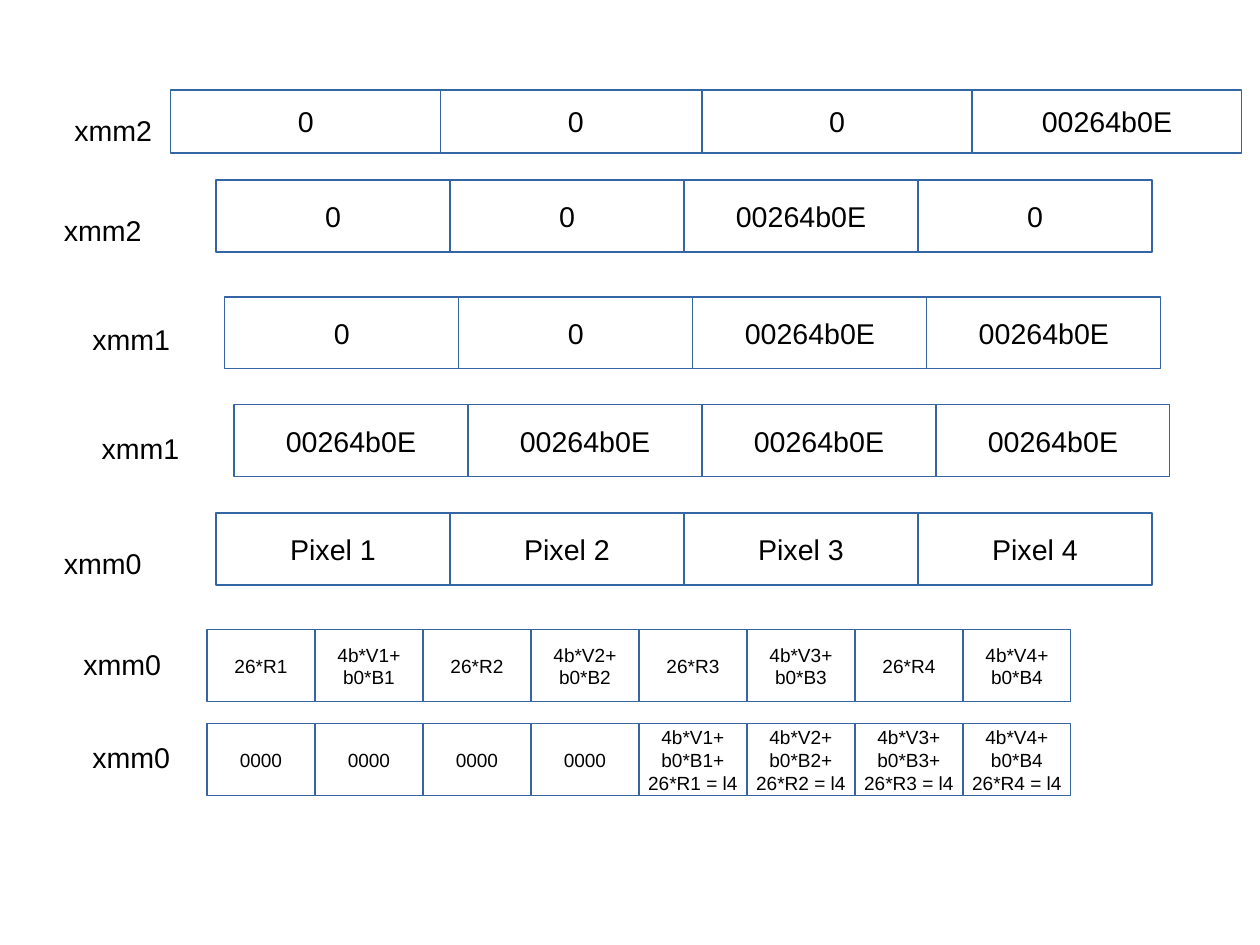
import pptx
import pptx.dml.color
import pptx.enum.shapes
import pptx.enum.text
import pptx.util

Pt = pptx.util.Pt
BLACK = pptx.dml.color.RGBColor(0x00, 0x00, 0x00)
WHITE = pptx.dml.color.RGBColor(0xFF, 0xFF, 0xFF)
BLUE = pptx.dml.color.RGBColor(0x34, 0x65, 0xA4)

VALUE = "00264b0E"
PIXELS = range(1, 5)
HALF_WIDTH = 170.08
QUARTER_WIDTH = 147.4
EIGHTH_WIDTH = 68.03
ROW_HEIGHT = 45.35
TOP_ROW_HEIGHT = 39.7


def write(tf, text, size, align):
    tf.word_wrap = False
    tf.text = text
    for p in tf.paragraphs:
        p.alignment = align
        p.font.name = "Arial"
        p.font.size = Pt(size)
        p.font.color.rgb = BLACK


def add_label(s, left, top, text):
    sp = s.shapes.add_textbox(Pt(left), Pt(top), Pt(63.4), Pt(27.4))
    write(sp.text_frame, text, 18, pptx.enum.text.PP_ALIGN.LEFT)


def add_cells(s, left, top, width, texts, size=18, height=ROW_HEIGHT):
    for i, text in enumerate(texts):
        sp = s.shapes.add_shape(
            pptx.enum.shapes.MSO_SHAPE.RECTANGLE,
            Pt(left + i * width), Pt(top), Pt(width), Pt(height))
        sp.shadow.inherit = False
        sp.fill.solid()
        sp.fill.fore_color.rgb = WHITE
        sp.line.color.rgb = BLUE
        sp.line.width = Pt(0)
        tf = sp.text_frame
        tf.vertical_anchor = pptx.enum.text.MSO_ANCHOR.MIDDLE
        write(tf, text, size, pptx.enum.text.PP_ALIGN.CENTER)


def main():
    prs = pptx.Presentation()
    prs.slide_width = Pt(793.7)
    prs.slide_height = Pt(595.3)
    s = prs.slides.add_slide(prs.slide_layouts[6])

    add_cells(s, 107.7, 56.7, HALF_WIDTH, ["0", "0"], height=TOP_ROW_HEIGHT)
    add_cells(s, 442.2, 56.7, HALF_WIDTH, ["0", VALUE], height=TOP_ROW_HEIGHT)
    add_label(s, 39.7, 67.7, "xmm2")

    for label, label_left, label_top, left, top, texts in [
        ("xmm2", 33.1, 130.3, 136.1, 113.4, ["0", "0", VALUE, "0"]),
        ("xmm1", 51.1, 199.4, 141.7, 187.1, ["0", "0", VALUE, VALUE]),
        ("xmm1", 56.9, 267.8, 147.4, 255.1, [VALUE] * 4),
        ("xmm0", 33.1, 340.2, 136.1, 323.2, [f"Pixel {n}" for n in PIXELS]),
    ]:
        add_cells(s, left, top, QUARTER_WIDTH, texts)
        add_label(s, label_left, label_top, label)

    products = [text for n in PIXELS
                for text in (f"26*R{n}", f"4b*V{n}+\nb0*B{n}")]
    sums = [f"4b*V{n}+\nb0*B{n}{'+' if n < 4 else ''}\n26*R{n} = l4"
            for n in PIXELS]
    add_label(s, 45.4, 403.9, "xmm0")
    add_cells(s, 130.4, 396.8, EIGHTH_WIDTH, products, size=12)
    add_cells(s, 130.4, 455.9, EIGHTH_WIDTH, ["0000"] * 4 + sums, size=12)
    add_label(s, 51.1, 462.6, "xmm0")

    prs.save("out.pptx")


if __name__ == "__main__":
    main()
